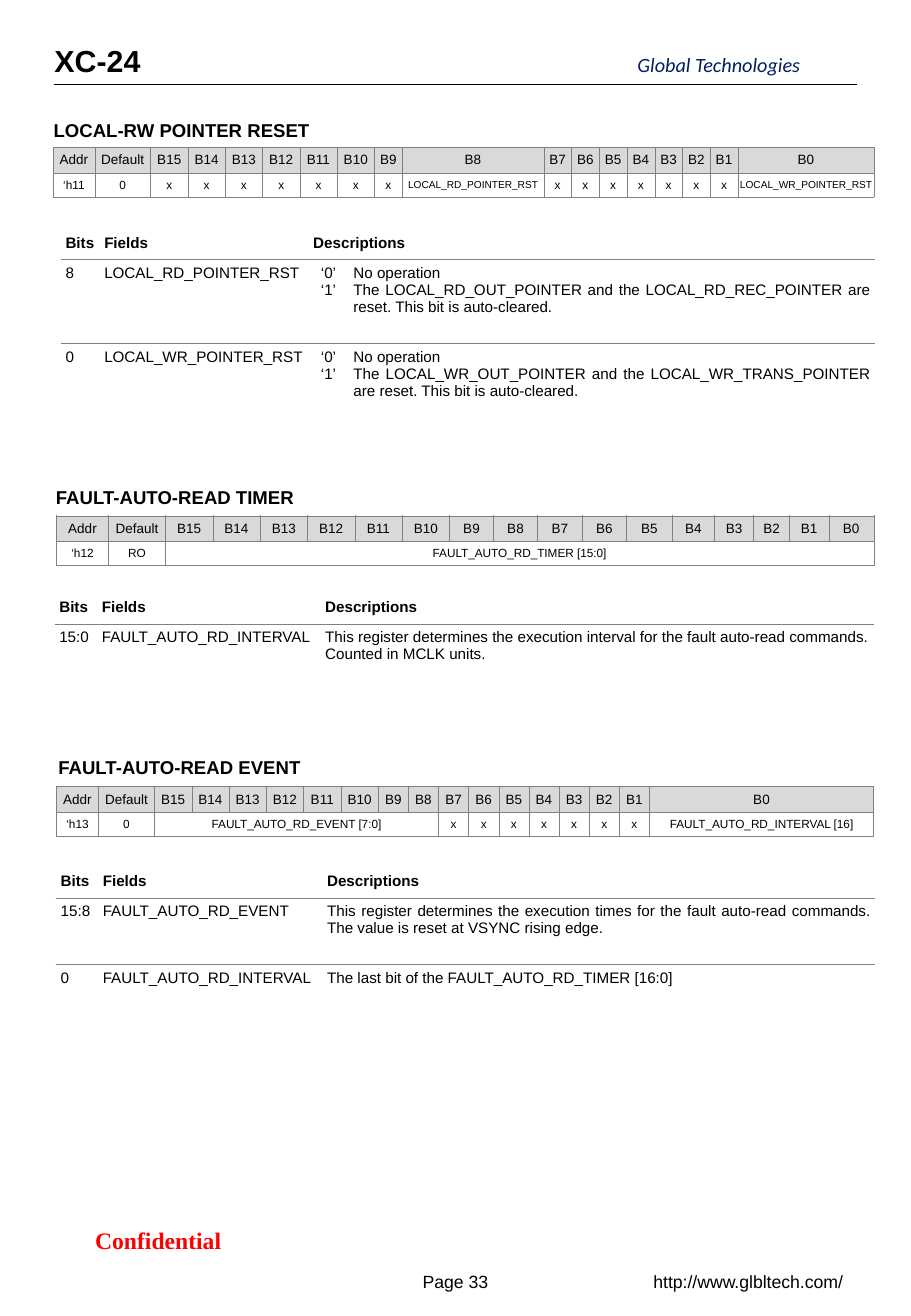
import lxml.etree
import pptx
import pptx.dml.color
import pptx.enum.shapes
import pptx.enum.text
import pptx.oxml.ns
import pptx.util

Cm = pptx.util.Cm
Pt = pptx.util.Pt
ALIGN = pptx.enum.text.PP_ALIGN
ANCHOR = pptx.enum.text.MSO_ANCHOR
qn = pptx.oxml.ns.qn

COLORS = {"ink": "000000", "navy": "002060", "alert": "FF0000",
          "rule": "808080", "head": "D9D9D9"}
PLAIN_TABLE = "{2D5ABB26-0587-4C30-8999-92F81FD0307C}"
BIT_NAMES = ["Addr", "Default"] + [f"B{bit}" for bit in range(15, -1, -1)]
PAD = 0.1
UNUSED = ("x", 1, 7)

SECTIONS = [
    {
        "title": "LOCAL-RW POINTER RESET",
        "title_box": (1.12, 2.36, 5.64, 0.74),
        "register_box": (1.11, 3.08, 17.17, 1.04),
        "bit_widths": [0.87, 1.17] + [0.78] * 6 + [0.58, 2.96] + [0.58] * 7,
        "values": [("‘h11", 1, 7), ("0", 1, 7)] + [UNUSED] * 7
                  + [("LOCAL_RD_POINTER_RST", 1, 6)] + [UNUSED] * 7
                  + [("LOCAL_WR_POINTER_RST", 1, 6)],
        "detail_box": (1.27, 4.72, 17.02, 4.06),
        "detail_widths": [0.81, 4.37, 0.84],
        "detail_heights": [0.71, 1.75, 1.6],
        "details": [
            ["8", "LOCAL_RD_POINTER_RST", "‘0’\n‘1’",
             "No operation\nThe LOCAL_RD_OUT_POINTER and the LOCAL_RD_REC_POINTER "
             "are reset. This bit is auto-cleared."],
            ["0", "LOCAL_WR_POINTER_RST", "‘0’\n‘1’",
             "No operation\nThe LOCAL_WR_OUT_POINTER and the LOCAL_WR_TRANS_POINTER "
             "are reset. This bit is auto-cleared."],
        ],
    },
    {
        "title": "FAULT-AUTO-READ TIMER",
        "title_box": (1.17, 10.03, 5.31, 0.74),
        "register_box": (1.18, 10.78, 17.09, 1.04),
        "bit_widths": [1.09, 1.19] + [0.99] * 6
                      + [0.92, 0.92, 0.94, 0.92, 0.96, 0.88, 0.82, 0.75, 0.82],
        "values": [("‘h12", 1, 7), ("RO", 1, 7), ("FAULT_AUTO_RD_TIMER [15:0]", 16, 7)],
        "detail_box": (1.14, 12.34, 17.13, 2.11),
        "detail_widths": [0.89, 4.67],
        "detail_heights": [0.71, 1.4],
        "details": [
            ["15:0", "FAULT_AUTO_RD_INTERVAL",
             "This register determines the execution interval for the fault "
             "auto-read commands.\nCounted in MCLK units."],
        ],
    },
    {
        "title": "FAULT-AUTO-READ EVENT",
        "title_box": (1.22, 15.67, 5.41, 0.74),
        "register_box": (1.18, 16.44, 17.09, 1.04),
        "bit_widths": [0.88, 1.17] + [0.78] * 6 + [0.63] * 9,
        "values": [("‘h13", 1, 7), ("0", 1, 7), ("FAULT_AUTO_RD_EVENT [7:0]", 8, 7)]
                  + [UNUSED] * 7 + [("FAULT_AUTO_RD_INTERVAL [16]", 1, 7)],
        "detail_box": (1.17, 18.06, 17.13, 3.41),
        "detail_widths": [0.88, 4.69],
        "detail_heights": [0.71, 1.4, 1.3],
        "details": [
            ["15:8", "FAULT_AUTO_RD_EVENT",
             "This register determines the execution times for the fault auto-read "
             "commands. The value is reset at VSYNC rising edge."],
            ["0", "FAULT_AUTO_RD_INTERVAL",
             "The last bit of the FAULT_AUTO_RD_TIMER [16:0]"],
        ],
    },
]


def color(name):
    return pptx.dml.color.RGBColor.from_string(COLORS[name])


def write(frame, text, size, align=ALIGN.LEFT, bold=False, italic=False,
          ink="ink", family="Arial"):
    frame.text = text
    for para in frame.paragraphs:
        para.alignment = align
        para.font.size = Pt(size)
        para.font.bold = bold
        para.font.italic = italic
        para.font.name = family
        para.font.color.rgb = color(ink)


def set_margins(target, left, top, right, bottom):
    target.margin_left, target.margin_top = Cm(left), Cm(top)
    target.margin_right, target.margin_bottom = Cm(right), Cm(bottom)


def add_text(page, box, text, size, margins=(0.25, 0.13, 0.25, 0.13),
             anchor=ANCHOR.TOP, wrap=False, **style):
    frame = page.shapes.add_textbox(*map(Cm, box)).text_frame
    frame.word_wrap = wrap
    frame.vertical_anchor = anchor
    set_margins(frame, *margins)
    write(frame, text, size, **style)


def add_borders(cell, sides, points):
    properties = cell._tc.get_or_add_tcPr()
    for side in sides:
        line = lxml.etree.SubElement(properties, qn(f"a:ln{side}"), w=str(Pt(points)))
        fill = lxml.etree.SubElement(line, qn("a:solidFill"))
        lxml.etree.SubElement(fill, qn("a:srgbClr"), val=COLORS["rule"])


def add_plain_table(page, box, widths, heights):
    table = page.shapes.add_table(len(heights), len(widths) + 1, *map(Cm, box)).table
    table.first_row = table.horz_banding = False
    table._tbl.tblPr.find(qn("a:tableStyleId")).text = PLAIN_TABLE
    for column, width in zip(table.columns, widths + [box[2] - sum(widths)]):
        column.width = Cm(width)
    for row, height in zip(table.rows, heights):
        row.height = Cm(height)
    return table


def add_register(page, box, widths, values):
    table = add_plain_table(page, box, widths, [0.54, box[3] - 0.54])
    last = len(widths)
    for row, entries in enumerate([[(name, 1, 8) for name in BIT_NAMES], values]):
        column = 0
        for text, span, size in entries:
            for position in range(column, column + span):
                cell = table.cell(row, position)
                pad = 0 if position == last and span == 1 else PAD
                set_margins(cell, pad, pad, pad, pad)
                cell.vertical_anchor = ANCHOR.MIDDLE
                write(cell.text_frame, text if position == column else "", size,
                      align=ALIGN.CENTER)
                add_borders(cell, "LRTB", 0.25)
                if row == 0:
                    cell.fill.solid()
                    cell.fill.fore_color.rgb = color("head")
                else:
                    cell.fill.background()
            if span > 1:
                table.cell(row, column).merge(table.cell(row, column + span - 1))
            column += span


def add_details(page, box, widths, heights, details):
    table = add_plain_table(page, box, widths, heights)
    last = len(widths)
    headings = ["Bits", "Fields", "Descriptions"] + [""] * (last - 2)
    for row, entries in enumerate([headings] + details):
        for column, text in enumerate(entries):
            cell = table.cell(row, column)
            set_margins(cell, PAD, PAD, PAD, PAD)
            cell.vertical_anchor = ANCHOR.TOP if row else ANCHOR.MIDDLE
            align = ALIGN.LEFT
            if row and column >= 2:
                align = ALIGN.JUSTIFY if column == last else ALIGN.CENTER
            write(cell.text_frame, text, 9, align=align, bold=row == 0)
            if row < 2:
                add_borders(cell, "T" if row else "B", 0.5)
            cell.fill.background()
    if last > 2:
        table.cell(0, 2).merge(table.cell(0, last))


def add_section(page, section):
    add_text(page, section["title_box"], section["title"], 11,
             margins=(0, 0.13, 0.25, 0.13), bold=True)
    add_register(page, section["register_box"], section["bit_widths"], section["values"])
    add_details(page, section["detail_box"], section["detail_widths"],
                section["detail_heights"], section["details"])


def add_header(page, left, top, width):
    add_text(page, (left + 0.02, top, 1.88, 1.02), "XC-24", 18,
             margins=(0, 0.13, 0, 0.13), bold=True)
    add_text(page, (left + 12.21, top + 0.33, 4.06, 0.51), "Global Technologies", 12,
             margins=(0, 0, 0, 0), italic=True, ink="navy", family="Calibri")
    rule = page.shapes.add_connector(
        pptx.enum.shapes.MSO_CONNECTOR.STRAIGHT,
        Cm(left), Cm(top + 1.01), Cm(left + width), Cm(top + 1.01))
    rule.line.color.rgb = color("ink")
    rule.line.width = Pt(0.5)
    lxml.etree.SubElement(rule._element.spPr, qn("a:effectLst"))


def add_footer(page, left, top):
    middle = {"anchor": ANCHOR.MIDDLE, "wrap": True, "align": ALIGN.CENTER}
    add_text(page, (left, top, 4.9, 0.86), "Confidential", 14, bold=True,
             ink="alert", family="Times New Roman", **middle)
    add_text(page, (left + 7.47, top + 0.86, 2.39, 0.86), "Page 33", 10.5, **middle)
    add_text(page, (left + 12.4, top + 0.86, 4.78, 0.86), "http://www.glbltech.com/",
             10.5, **middle)


def main():
    deck = pptx.Presentation()
    deck.slide_width, deck.slide_height = Cm(19.05), Cm(27.51)
    page = deck.slides.add_slide(deck.slide_layouts[6])
    add_header(page, 1.12, 0.76, 16.81)
    for section in SECTIONS:
        add_section(page, section)
    add_footer(page, 0.86, 25.5)
    deck.save("out.pptx")


if __name__ == "__main__":
    main()
